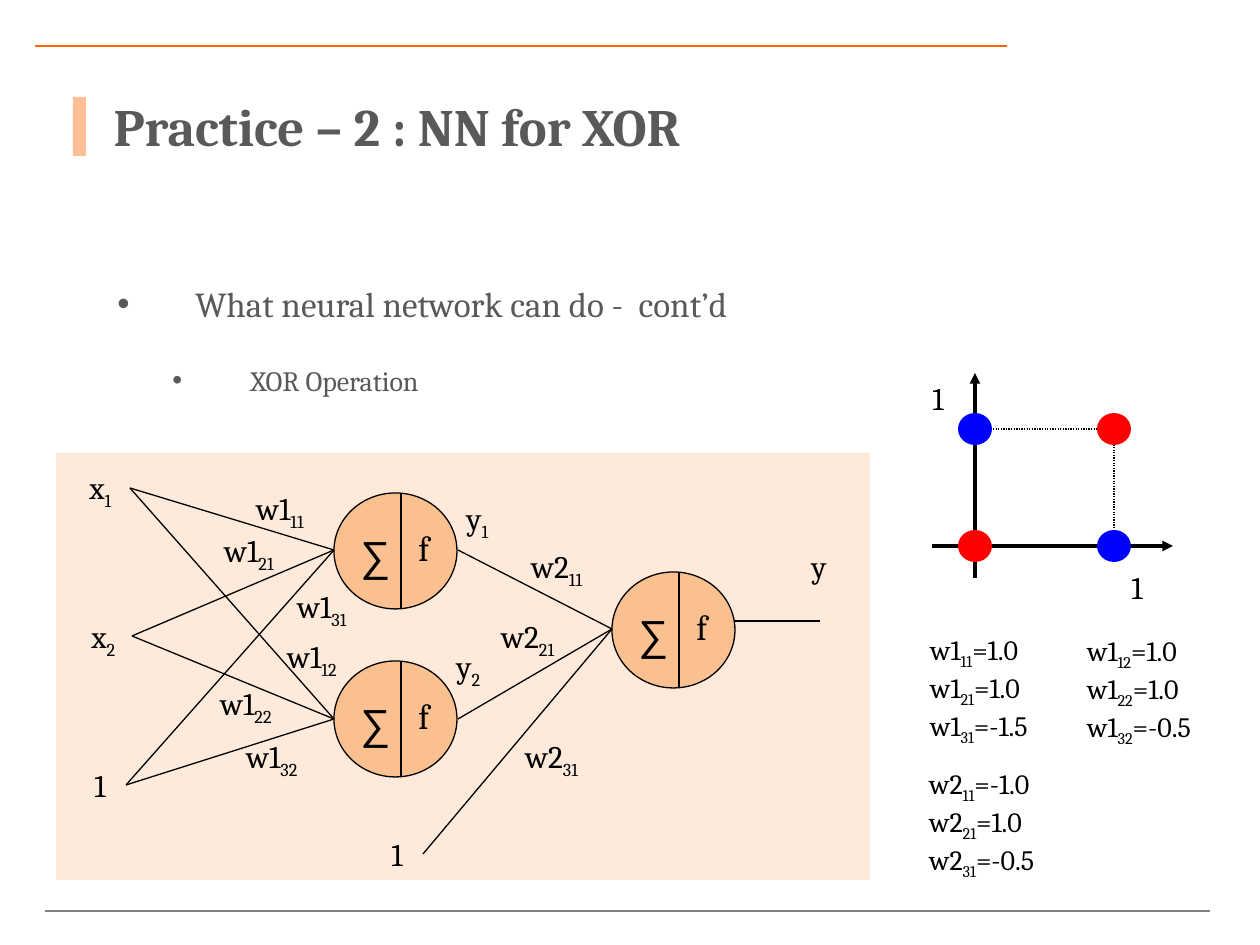
from lxml import etree
from pptx import Presentation
from pptx.dml.color import RGBColor
from pptx.enum.dml import MSO_LINE
from pptx.enum.shapes import MSO_CONNECTOR, MSO_SHAPE
from pptx.enum.text import MSO_ANCHOR, MSO_AUTO_SIZE, PP_ALIGN
from pptx.oxml.ns import qn
from pptx.util import Pt

SCALE = 914400 / 126
LINE = MSO_CONNECTOR.STRAIGHT
RECT = MSO_SHAPE.RECTANGLE
OVAL = MSO_SHAPE.OVAL
DOTS = MSO_LINE.ROUND_DOT
LEFT = PP_ALIGN.LEFT
TOP = MSO_ANCHOR.TOP
MIDDLE = MSO_ANCHOR.MIDDLE
GROW = MSO_AUTO_SIZE.SHAPE_TO_FIT_TEXT

BLACK = RGBColor(0, 0, 0)
GRAY = RGBColor(0x80, 0x80, 0x80)
DARK = RGBColor(0x59, 0x59, 0x59)
ORANGE = RGBColor(0xFF, 0x66, 0x00)
PEACH = RGBColor(0xFA, 0xC0, 0x90)
CREAM = RGBColor(0xFD, 0xEA, 0xDA)
RED = RGBColor(0xFF, 0, 0)
BLUE = RGBColor(0, 0, 0xFF)


def px(*nums):
    return [round(n * SCALE) for n in nums]


def set_font(para, size, color=BLACK, name="Cambria", bold=False):
    font = para.font
    font.name, font.size, font.bold = name, Pt(size), bold
    font.color.rgb = color


def add_line(shapes, start, end, color=BLACK, width=0.75, dash=None, arrow=False):
    line = shapes.add_connector(LINE, *px(*start, *end))
    line.line.color.rgb = color
    line.line.width = Pt(width)
    if dash:
        line.line.dash_style = dash
    props = line._element.spPr
    if arrow:
        etree.SubElement(props.find(qn("a:ln")), qn("a:tailEnd"), type="triangle")
    etree.SubElement(props, qn("a:effectLst"))


def add_shape(shapes, kind, box, fill, edge=None):
    shape = shapes.add_shape(kind, *px(*box))
    shape.shadow.inherit = False
    shape.fill.solid()
    shape.fill.fore_color.rgb = fill
    if edge is None:
        shape.line.fill.background()
    else:
        shape.line.color.rgb = edge
        shape.line.width = Pt(0.75)
    return shape


def fill_text(shape, rows, size, name="Cambria"):
    frame = shape.text_frame
    frame.word_wrap = True
    frame.auto_size = GROW
    frame.vertical_anchor = TOP
    for i, row in enumerate(rows):
        para = frame.add_paragraph() if i else frame.paragraphs[0]
        para.alignment = LEFT
        set_font(para, size, name=name)
        for j, part in enumerate(row):
            run = para.add_run()
            run.text = part
            if j == 1:
                run._r.get_or_add_rPr().set("baseline", "-25000")


def add_label(shapes, box, rows, size=18):
    fill_text(shapes.add_textbox(*px(*box)), rows, size)


def add_node(slide, x, y):
    shapes = slide.shapes.add_group_shape().shapes
    add_shape(shapes, OVAL, (x, y, 123, 116), PEACH, BLACK)
    total = add_shape(shapes, RECT, (x + 14, y + 30, 55, 63), PEACH)
    fill_text(total, [["∑"]], 24, "Arial")
    func = add_shape(shapes, RECT, (x + 72, y + 27, 37, 55), PEACH)
    fill_text(func, [["f"]], 20)
    add_line(shapes, (x + 67, y), (x + 67, y + 115))


def add_title(slide):
    title = slide.shapes.title
    title.left, title.top, title.width, title.height = px(101, 47, 1134, 157)
    title.text_frame.text = "Practice – 2 : NN for XOR"
    title.text_frame.vertical_anchor = MIDDLE
    para = title.text_frame.paragraphs[0]
    para.alignment = LEFT
    set_font(para, 30, DARK, bold=True)
    bar = add_shape(slide.shapes, RECT, (73, 97, 13, 59), ORANGE)
    color = bar._element.spPr.find(".//" + qn("a:srgbClr"))
    etree.SubElement(color, qn("a:alpha"), val="42000")


def add_body(slide):
    frame = slide.shapes.add_textbox(*px(49, 234, 1160, 635)).text_frame
    frame.word_wrap = True
    rows = [("What neural network can do -  cont’d", 20, 134), ("XOR Operation", 16, 189)]
    for i, (text, size, margin) in enumerate(rows):
        para = frame.add_paragraph() if i else frame.paragraphs[0]
        para.text = text
        para.level = i
        para.line_spacing = 2.0
        props = para._p.get_or_add_pPr()
        props.set("marL", str(px(margin)[0]))
        props.set("indent", str(px(-78)[0]))
        before = etree.SubElement(props, qn("a:spcBef"))
        etree.SubElement(before, qn("a:spcPct"), val="20000")
        etree.SubElement(props, qn("a:buFont"), typeface="Arial")
        etree.SubElement(props, qn("a:buChar"), char="•")
        set_font(para, size, DARK)


def add_net(slide):
    shapes = slide.shapes
    add_shape(shapes, RECT, (56, 453, 814, 427), CREAM)
    for x, y in [(334, 493), (334, 661), (612, 572)]:
        add_node(slide, x, y)
    for start in [(130, 488), (132, 636), (126, 785)]:
        for end in [(334, 550), (334, 719)]:
            add_line(shapes, start, end)
    for start in [(458, 550), (458, 719), (423, 854)]:
        add_line(shapes, start, (612, 629))
    add_line(shapes, (735, 621), (820, 621))
    ends = [
        (77, 462, "x", "1"), (79, 611, "x", "2"), (82, 760, "1", ""),
        (379, 829, "1", ""), (454, 493, "y", "1"), (444, 641, "y", "2"),
        (799, 541, "y", ""),
    ]
    for x, y, base, sub in ends:
        add_label(shapes, (x, y, 53 if sub else 44, 50), [[base, sub] if sub else [base]])
    weights = [
        (244, 483, "w1", "11"), (212, 525, "w1", "21"), (285, 581, "w1", "31"),
        (275, 631, "w1", "12"), (208, 678, "w1", "22"), (234, 731, "w1", "32"),
        (519, 541, "w2", "11"), (489, 611, "w2", "21"), (513, 731, "w2", "31"),
    ]
    for x, y, base, sub in weights:
        add_label(shapes, (x, y, 92, 50), [[base, sub]])


def add_plot(slide):
    shapes = slide.shapes.add_group_shape().shapes
    left, right, high, low = 975, 1114, 429, 546
    add_line(shapes, (932, low), (1173, low), width=2, arrow=True)
    add_line(shapes, (left, 578), (left, 373), width=2, arrow=True)
    add_line(shapes, (left, high), (right, high), dash=DOTS)
    add_line(shapes, (right, high), (right, low), dash=DOTS)
    for x, y in [(1119, 562), (920, 373)]:
        add_label(shapes, (x, y, 38, 40), [["1"]])
    dots = [(right, high, RED), (right, low, BLUE), (left, low, RED), (left, high, BLUE)]
    for x, y, color in dots:
        add_shape(shapes, OVAL, (x - 17, y - 16, 34, 32), color)


def add_values(slide):
    blocks = [
        (918, 626, "w1", "1", ("1.0", "1.0", "-1.5")),
        (1075, 627, "w1", "2", ("1.0", "1.0", "-0.5")),
        (917, 760, "w2", "1", ("-1.0", "1.0", "-0.5")),
    ]
    for x, y, base, unit, vals in blocks:
        rows = [[base, f"{i}{unit}", f"={val}"] for i, val in enumerate(vals, 1)]
        add_label(slide.shapes, (x, y, 146, 115), rows, 16)


def main():
    deck = Presentation()
    deck.slide_width, deck.slide_height = px(1260, 945)
    slide = deck.slides.add_slide(deck.slide_layouts[5])
    add_line(slide.shapes, (45, 911), (1210, 911), GRAY)
    add_line(slide.shapes, (35, 46), (1007, 46), ORANGE, 1)
    add_title(slide)
    add_net(slide)
    add_plot(slide)
    add_values(slide)
    add_body(slide)
    deck.save("out.pptx")


if __name__ == "__main__":
    main()
